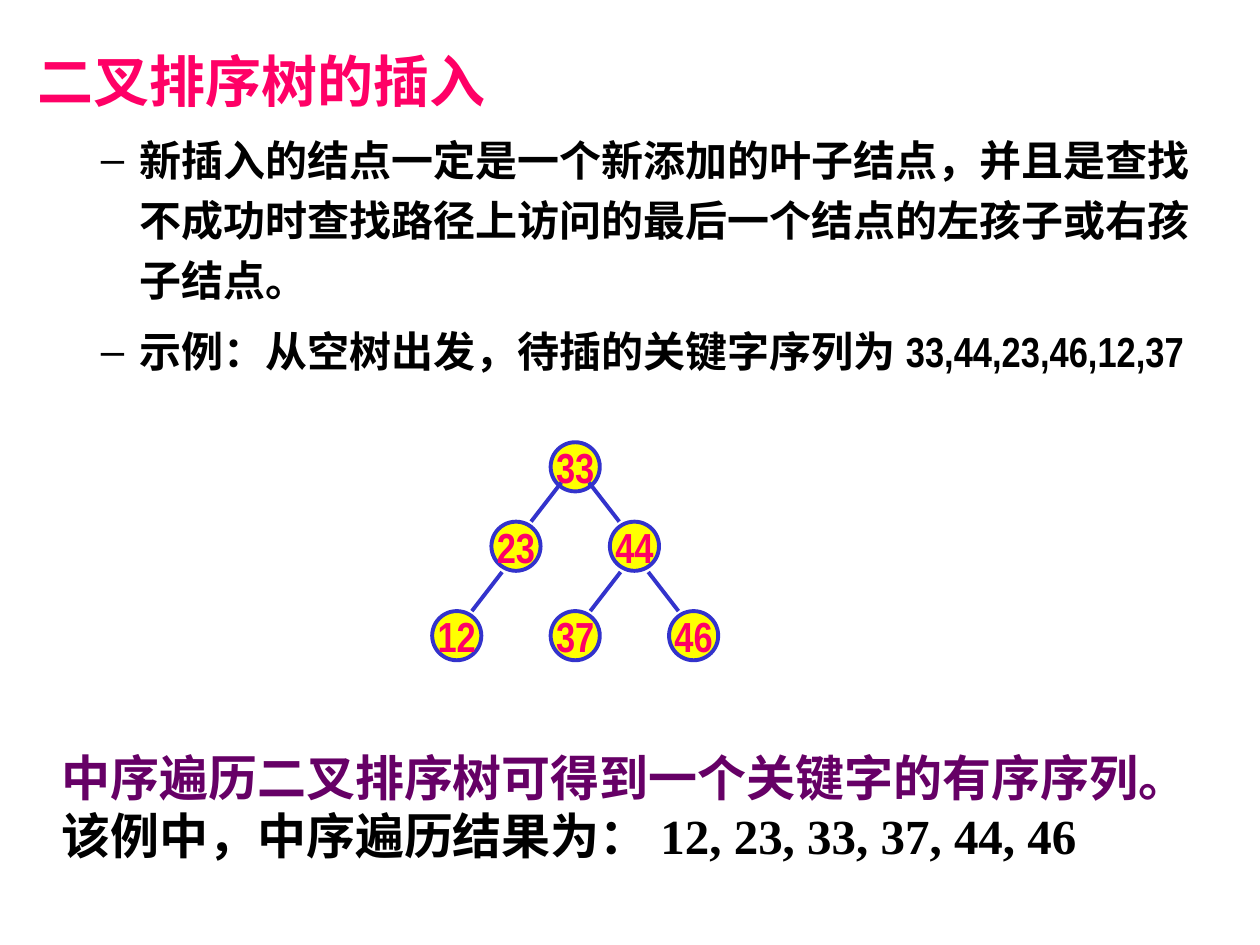
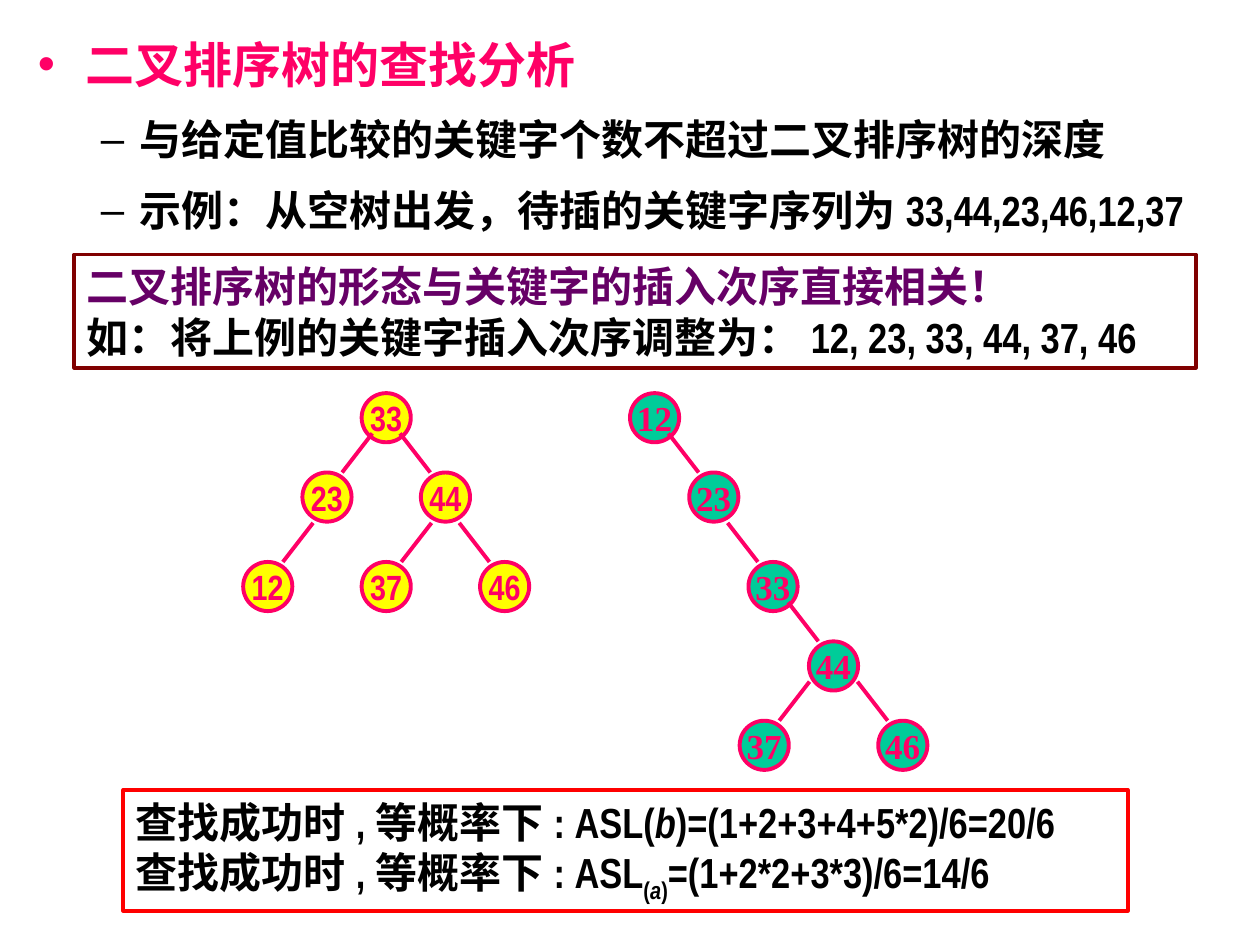
from pptx import Presentation
from pptx.dml.color import RGBColor as RGB
from pptx.enum.shapes import MSO_CONNECTOR as Line, MSO_SHAPE as Kind
from pptx.enum.text import MSO_ANCHOR as Anchor, MSO_AUTO_SIZE as Fit, PP_ALIGN as Align
from pptx.oxml import parse_xml
from pptx.oxml.ns import nsdecls
from pptx.util import Inches, Pt

theme = {
    "pink": "FF0066", "plum": "660066", "black": "000000", "blue": "3333CC",
    "lemon": "FFFF00", "mint": "00CC99", "wine": "800000", "red": "FF0000",
    "serif": "Times New Roman", "sans": "Arial Narrow",
    "head": 32, "big": 28, "text": 24, "small": 20, "rule": 2.25,
}


def write(frame, rows, face, size, form=None):
    for at, (color, runs) in enumerate(rows):
        para = frame.paragraphs[0] if at == 0 else frame.add_paragraph()
        for name, value in (form or {}).items():
            setattr(para, name, value)
        for text, extra in runs:
            run = para.add_run()
            run.text = text
            look = {"name": theme[face], "size": Pt(theme[size]), "bold": True, "italic": "i" in extra}
            for name, value in look.items():
                setattr(run.font, name, value)
            run.font.color.rgb = RGB.from_string(theme[color])
            if "sub" in extra:
                run._r.get_or_add_rPr().set("baseline", "-25000")


def block(slide, kind, spot, edge, fill=None):
    shape = slide.shapes.add_shape(kind, *map(Inches, spot))
    shape.shadow.inherit = False
    if fill:
        shape.fill.solid()
        shape.fill.fore_color.rgb = RGB.from_string(theme[fill])
    else:
        shape.fill.background()
    shape.line.color.rgb = RGB.from_string(theme[edge])
    shape.line.width = Pt(theme["rule"])
    return shape


deck = Presentation()
deck.slide_width, deck.slide_height = Inches(10), Inches(7.5)

task = "示例：从空树出发，待插的关键字序列为33,44,23,46,12,37"
lists = [
    ((0.2, 0.21, 9.61, 2.99), "head", None, "二叉排序树的插入",
     ["新插入的结点一定是一个新添加的叶子结点，并且是查找不成功时查找路径上访问的最后一个结点的左孩子或右孩子结点。", task]),
    ((0.2, 0.13, 9.49, 1.97), "big", "•", "二叉排序树的查找分析",
     ["与给定值比较的关键字个数不超过二叉排序树的深度", task]),
]
slides = []
for spot, size, mark, head, items in lists:
    slide = deck.slides.add_slide(deck.slide_layouts[1])
    slides.append(slide)
    title = slide.shapes.title._element
    title.getparent().remove(title)
    body = slide.placeholders[1]
    for name, value in zip(("left", "top", "width", "height"), spot):
        setattr(body, name, Inches(value))
    frame = body.text_frame
    frame.auto_size = Fit.NONE
    rows = [(head, 0, mark, "pink", "serif", size)]
    rows += [(item, 1, "–", "black", "sans", "text") for item in items]
    for at, (text, level, sign, color, face, size) in enumerate(rows):
        para = frame.paragraphs[0] if at == 0 else frame.add_paragraph()
        props = para._p.get_or_add_pPr()
        left, hang = (0.81, 0.31) if level else (0.38, 0.38)
        props.set("marL", str(Inches(left)))
        props.set("indent", str(-Inches(hang)))
        if sign:
            props.append(parse_xml(f'<a:buClr {nsdecls("a")}><a:srgbClr val="{theme[color]}"/></a:buClr>'))
            props.append(parse_xml(f'<a:buChar {nsdecls("a")} char="{sign}"/>'))
        else:
            props.append(parse_xml(f'<a:buNone {nsdecls("a")}/>'))
        form = {"level": level, "line_spacing": 1.2, "space_before": Pt(6 if at else 0)}
        for name, value in form.items():
            setattr(para, name, value)
        run = para.add_run()
        run.text = text
        look = {"name": theme[face], "size": Pt(theme[size]), "bold": True}
        for name, value in look.items():
            setattr(run.font, name, value)
        run.font.color.rgb = RGB.from_string(theme[color])

first, second = slides

size, lean, reach, drop = 0.39, 0.12, 0.24, 0.31
full = [("33", 0, 0, 0), ("44", 0.47, 0.63, 1), ("23", -0.47, 0.63, -1),
        ("46", 0.94, 1.34, 1), ("12", -0.94, 1.34, -1), ("37", 0, 1.34, -1)]
deep = [("12", 0, 0, 0), ("23", 0.47, 0.63, 1), ("33", 0.94, 1.34, 1),
        ("44", 1.42, 1.97, 1), ("37", 0.87, 2.6, -1), ("46", 1.97, 2.6, 1)]
trees = [
    (first, 4.37, 3.51, full, "lemon", "blue", "sans", "text"),
    (second, 2.87, 3.12, full, "lemon", "pink", "sans", "small"),
    (second, 5, 3.12, deep, "mint", "pink", "serif", "small"),
]
for slide, left, top, nodes, fill, edge, face, type_size in trees:
    for key, dx, dy, side in nodes:
        x, y = left + dx, top + dy
        node = block(slide, Kind.OVAL, (x, y, size, size), edge, fill)
        frame = node.text_frame
        frame.word_wrap = False
        frame.vertical_anchor = Anchor.MIDDLE
        write(frame, [("pink", [(key, "")])], face, type_size, {"alignment": Align.CENTER})
        if side:
            tip = x + size / 2 - side * lean
            ends = (tip - side * reach, y - drop, tip, y)
            link = slide.shapes.add_connector(Line.STRAIGHT, *map(Inches, ends))
            link.line.color.rgb = RGB.from_string(theme[edge])
            link.line.width = Pt(theme["rule"])
            link._element.spPr.append(parse_xml(f'<a:effectLst {nsdecls("a")}/>'))

note = first.shapes.add_textbox(*map(Inches, (0.39, 5.88, 9.41, 1.04)))
order = block(second, Kind.RECTANGLE, (0.59, 2.02, 8.9, 0.9), "wine")
cost = block(second, Kind.RECTANGLE, (0.98, 6.27, 7.97, 0.96), "red")
lead = "查找成功时,等概率下: ASL"
notes = [
    (note, "serif", "big", [
        ("plum", [("中序遍历二叉排序树可得到一个关键字的有序序列。", "")]),
        ("black", [("该例中，中序遍历结果为：12, 23, 33, 37, 44, 46", "")])]),
    (order, "sans", "text", [
        ("plum", [("二叉排序树的形态与关键字的插入次序直接相关！", "")]),
        ("black", [("如：将上例的关键字插入次序调整为：12, 23, 33, 44, 37, 46", "")])]),
    (cost, "sans", "text", [
        ("black", [(lead + "(", ""), ("b", "i"), (")=(1+2+3+4+5*2)/6=20/6", "")]),
        ("black", [(lead, ""), ("(", ["sub"]), ("a", ["sub", "i"]), (")", ["sub"]),
                   ("=(1+2*2+3*3)/6=14/6", "")])]),
]
for shape, face, type_size, rows in notes:
    frame = shape.text_frame
    form = {"word_wrap": True, "vertical_anchor": Anchor.TOP, "auto_size": Fit.SHAPE_TO_FIT_TEXT}
    for name, value in form.items():
        setattr(frame, name, value)
    write(frame, rows, face, type_size, {"alignment": Align.LEFT})

deck.save("out.pptx")
